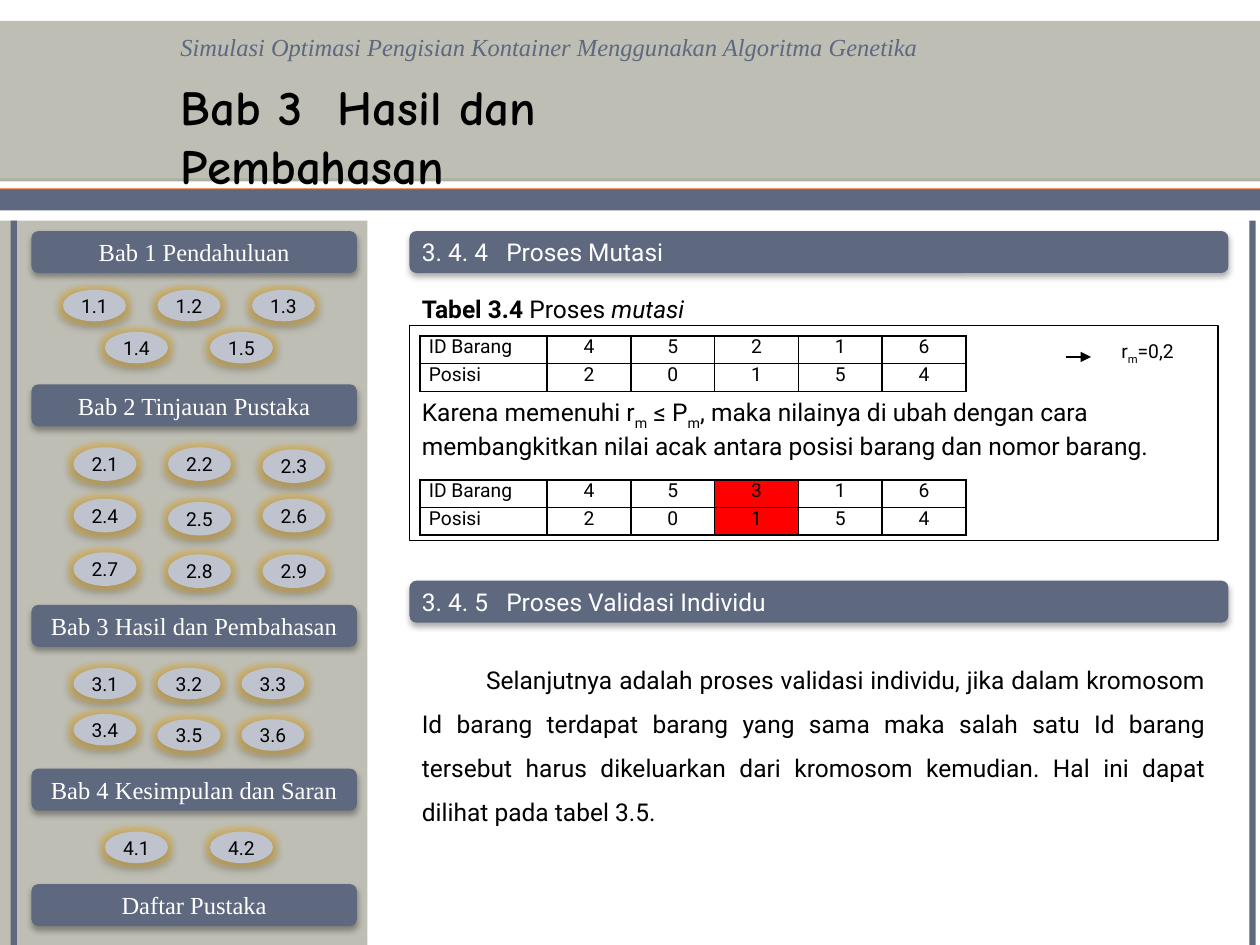
import pptx
import pptx.dml.color
import pptx.enum.shapes
import pptx.enum.text
import pptx.oxml
import pptx.oxml.ns
import pptx.util
from lxml import etree

SHAPES = pptx.enum.shapes.MSO_SHAPE
ALIGN = pptx.enum.text.PP_ALIGN
ANCHOR = pptx.enum.text.MSO_ANCHOR
NAMESPACE = pptx.oxml.ns.nsdecls("a")

COLUMNS, ROWS = 120, 90
SLIDE_WIDTH, SLIDE_HEIGHT = pptx.util.Inches(10), pptx.util.Inches(7.5)
SLATE, STONE, MIST, BLACK, WHITE = "5E687E", "BEBEB4", "BEC3CE", "000000", "FFFFFF"
BAR_HEIGHT = 4
CONTENT_LEFT, CONTENT_WIDTH = 39, 77
SOFT_SHADOW = (
    '<a:outerShdw blurRad="44450" dist="27940" dir="5400000" algn="ctr" rotWithShape="0">'
    '<a:srgbClr val="000000"><a:alpha val="32000"/></a:srgbClr></a:outerShdw>')
GOLD_GLOW = '<a:glow rad="63500"><a:srgbClr val="E0B040"><a:alpha val="50000"/></a:srgbClr></a:glow>'

# Heading, its row, button height, then button rows as (first column, step, tops).
CHAPTERS = [
    ("Bab 1 Pendahuluan", 22, 3, [(6, 9, [27.6] * 3), (10, 10, [31.6] * 2)]),
    ("Bab 2 Tinjauan Pustaka", 36.6, 3.2, [(7, 9, [42.6, 42.6, 42.8]),
                                           (7, 9, [47.5, 47.8, 47.5]),
                                           (7, 9, [52.6, 52.8, 52.8])]),
    ("Bab 3 Hasil dan Pembahasan", 57.6, 3, [(7, 8, [63.6] * 3), (7, 8, [68, 68.5, 68.5])]),
    ("Bab 4 Kesimpulan dan Saran", 73.2, 3, [(10, 10, [79.2] * 2)]),
    ("Daftar Pustaka", 84.2, 3, []),
]


def color(hex_string):
    return pptx.dml.color.RGBColor.from_string(hex_string)


def across(columns):
    return round(SLIDE_WIDTH * columns / COLUMNS)


def down(rows):
    return round(SLIDE_HEIGHT * rows / ROWS)


def place(left, top, width, height):
    return across(left), down(top), across(width), down(height)


def write(frame, text, size=14, font="Roboto", ink=BLACK, align=ALIGN.LEFT, anchor=ANCHOR.TOP,
          bold=False, italic=False, insets=(0.1, 0.05, 0.1, 0.05), line_spacing=None,
          indent=None, tab=None):
    """Fill a frame with text, or with (text, style) runs styled b, i or sub."""
    frame.word_wrap = True
    frame.vertical_anchor = anchor
    (frame.margin_left, frame.margin_top, frame.margin_right,
     frame.margin_bottom) = [pptx.util.Inches(inset) for inset in insets]
    paragraph = frame.paragraphs[0]
    paragraph.alignment = align
    if line_spacing:
        paragraph.line_spacing = line_spacing
    properties = paragraph._p.get_or_add_pPr()
    if indent:
        properties.set("indent", str(pptx.util.Inches(indent)))
    if tab:
        properties.append(pptx.oxml.parse_xml(
            f'<a:tabLst {NAMESPACE}><a:tab pos="{pptx.util.Inches(tab)}" algn="l"/></a:tabLst>'))
    for content, style in [(text, "")] if isinstance(text, str) else text:
        run = paragraph.add_run()
        run.text = content
        run.font.size = pptx.util.Pt(size)
        run.font.name = font
        run.font.color.rgb = color(ink)
        run.font.bold = bold or style == "b"
        run.font.italic = italic or style == "i"
        if style == "sub":
            run.font._element.set("baseline", "-25000")


def add_text(slide, box, text, **text_format):
    write(slide.shapes.add_textbox(*place(*box)).text_frame, text, **text_format)


def add_block(slide, box, fill=None, kind=SHAPES.RECTANGLE, line=None, effects=""):
    shape = slide.shapes.add_shape(kind, *place(*box))
    shape.shadow.inherit = False
    if fill:
        shape.fill.solid()
        shape.fill.fore_color.rgb = color(fill)
    else:
        shape.fill.background()
    if line:
        shape.line.color.rgb = color(line)
        shape.line.width = pptx.util.Pt(0.75)
    else:
        shape.line.fill.background()
    if effects:
        effect_list = shape._element.spPr.find(pptx.oxml.ns.qn("a:effectLst"))
        effect_list.extend(pptx.oxml.parse_xml(f"<a:effectLst {NAMESPACE}>{effects}</a:effectLst>"))
    return shape


def add_bar(slide, box):
    return add_block(slide, box, SLATE, SHAPES.FLOWCHART_ALTERNATE_PROCESS, effects=SOFT_SHADOW)


def add_section(slide, top, title):
    box = (CONTENT_LEFT, top, 78, BAR_HEIGHT)
    add_bar(slide, box)
    add_text(slide, box, title, ink=WHITE, tab=0.67)


def add_chapters(slide):
    for chapter, (heading, top, height, button_rows) in enumerate(CHAPTERS, 1):
        bar = add_bar(slide, (3, top, 31, BAR_HEIGHT))
        write(bar.text_frame, heading, font="Times New Roman", ink=WHITE,
              align=ALIGN.CENTER, anchor=ANCHOR.MIDDLE)
        number = 0
        for first, step, tops in button_rows:
            for position, button_top in enumerate(tops):
                number += 1
                button = add_block(slide, (first + position * step, button_top, 6, height),
                                   MIST, SHAPES.OVAL, effects=GOLD_GLOW + SOFT_SHADOW)
                write(button.text_frame, f"{chapter}.{number}", size=11, insets=(0,) * 4,
                      align=ALIGN.CENTER, anchor=ANCHOR.MIDDLE)


def add_border(cell):
    properties = cell._tc.get_or_add_tcPr()
    for position, side in enumerate(("lnL", "lnR", "lnT", "lnB")):
        properties.insert(position, pptx.oxml.parse_xml(
            f'<a:{side} {NAMESPACE} w="12700"><a:solidFill><a:srgbClr val="{BLACK}"/>'
            f'</a:solidFill></a:{side}>'))


def add_gene_table(slide, top, items, positions, marked=None):
    """Add an item/position table; the marked column is red."""
    records = [["ID Barang", *items], ["Posisi", *positions]]
    width, label_width, row_height = 52, 12.1, 2.64
    table = slide.shapes.add_table(2, len(records[0]),
                                   *place(40, top, width, 2 * row_height)).table
    table.first_row = table.horz_banding = False
    for index, column in enumerate(table.columns):
        column.width = across((width - label_width) / len(items) if index else label_width)
    for row, record in zip(table.rows, records):
        row.height = down(row_height)
        for index, value in enumerate(record):
            cell = row.cells[index]
            write(cell.text_frame, value, size=11, align=ALIGN.CENTER if index else ALIGN.LEFT)
            cell.margin_left = cell.margin_right = pptx.util.Inches(0.07)
            cell.margin_top = cell.margin_bottom = 0
            if index == marked:
                cell.fill.solid()
                cell.fill.fore_color.rgb = color("FF0000")
            else:
                cell.fill.background()
            add_border(cell)


def add_arrow(slide, left, right, row):
    arrow = slide.shapes.add_connector(pptx.enum.shapes.MSO_CONNECTOR.STRAIGHT,
                                       across(left), down(row), across(right), down(row))
    arrow.line.color.rgb = color(BLACK)
    arrow.line.width = pptx.util.Pt(1)
    etree.SubElement(arrow.line._get_or_add_ln(), pptx.oxml.ns.qn("a:tailEnd"), type="triangle")
    etree.SubElement(arrow._element.spPr, pptx.oxml.ns.qn("a:effectLst"))


def add_header(slide):
    for top, height, fill in ((2.16, 15.12, "ABB19F"), (17.95, 2, "F4680B"),
                              (2, 15, STONE), (18.04, 2, SLATE)):
        add_block(slide, (0, top, COLUMNS, height), fill)
    add_text(slide, (16, 2.5, 104, 4),
             "Simulasi Optimasi Pengisian Kontainer Menggunakan Algoritma Genetika",
             font="Times New Roman", ink=SLATE, italic=True)
    add_text(slide, (16, 6.7, 62, 6.9), "Bab 3\tHasil dan Pembahasan",
             size=28, font="Comic Neue", bold=True, tab=1.25)


def add_mutation(slide):
    add_section(slide, 22, "3. 4. 4\tProses Mutasi")
    add_text(slide, (CONTENT_LEFT, 26, CONTENT_WIDTH, 5),
             [("Tabel 3.4", "b"), (" Proses ", ""), ("mutasi", "i")],
             align=ALIGN.JUSTIFY, line_spacing=1.5)
    add_arrow(slide, 101.5, 103.9, 34)
    add_text(slide, (106.8, 32.3, 6.2, 4.1), [("r", ""), ("m", "sub"), ("=0,2", "")],
             size=11, insets=(0,) * 4)
    panel = add_block(slide, (CONTENT_LEFT, 31, CONTENT_WIDTH, 20.5), line=BLACK)
    write(panel.text_frame,
          [("Karena memenuhi r", ""), ("m", "sub"), (" ≤ P", ""), ("m", "sub"),
           (", maka nilainya di ubah dengan cara membangkitkan nilai acak antara "
            "posisi barang dan nomor barang.", "")], insets=(0.1, 0.57, 0.1, 0.05))
    add_gene_table(slide, 32, "45216", "20154")
    add_gene_table(slide, 45.7, "45316", "20154", marked=3)


def add_validation(slide):
    add_section(slide, 55.3, "3. 4. 5\tProses Validasi Individu")
    add_text(slide, (CONTENT_LEFT, 61.3, CONTENT_WIDTH, 17.6),
             "Selanjutnya adalah proses validasi individu, jika dalam kromosom Id barang "
             "terdapat barang yang sama maka salah satu Id barang tersebut harus dikeluarkan "
             "dari kromosom kemudian. Hal ini dapat dilihat pada tabel 3.5.",
             align=ALIGN.JUSTIFY, line_spacing=1.5, indent=0.51)


def main():
    presentation = pptx.Presentation()
    presentation.slide_width, presentation.slide_height = SLIDE_WIDTH, SLIDE_HEIGHT
    slide = presentation.slides.add_slide(presentation.slide_layouts[6])
    add_header(slide)
    add_block(slide, (0, 21, 35, 69), STONE)
    for edge in (1, 119):
        add_block(slide, (edge, 21, 0.6, 69), SLATE)
    add_chapters(slide)
    add_mutation(slide)
    add_validation(slide)
    presentation.save("out.pptx")


if __name__ == "__main__":
    main()
